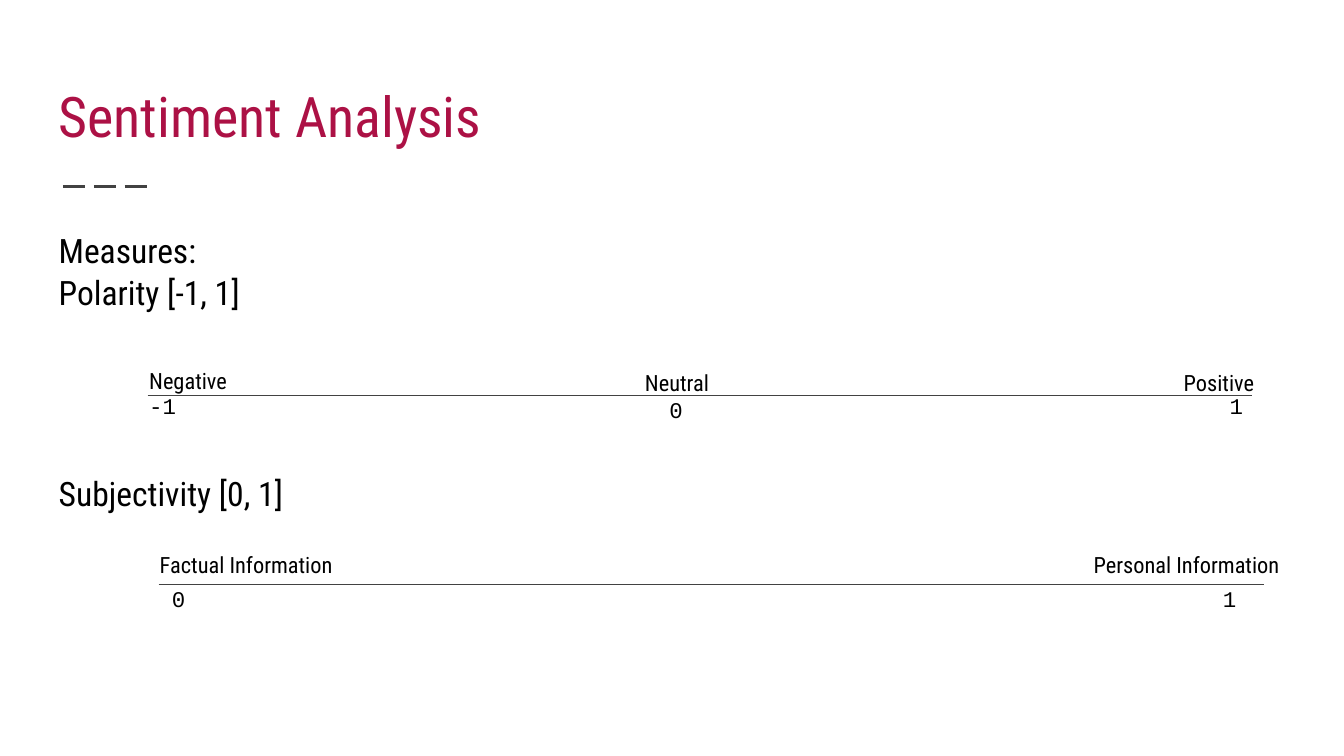
from lxml import etree
from pptx import Presentation
from pptx import util as u
from pptx.dml.color import RGBColor
from pptx.enum import dml, shapes, text
from pptx.oxml.ns import qn

# Content: lengths in cm, sizes in points
TITLE = "Sentiment Analysis"
MEASURES = [("Measures:", 0), ("Polarity [-1, 1]", 1), ("Subjectivity [0, 1]", 86)]
SCALES = [
    {"axis": (2.79, 23.67, 7.47),
     "labels": [("Negative", 2.57, 6.69), ("Neutral", 11.94, 6.73), ("Positive", 22.12, 6.73)],
     "values": [("-1", 2.57, 7.16), ("0", 12.4, 7.24), ("1", 22.99, 7.16)]},
    {"axis": (3, 23.88, 11.05),
     "labels": [("Factual Information", 2.77, 10.16), ("Personal Information", 20.42, 10.16)],
     "values": [("0", 3, 10.82), ("1", 22.86, 10.82)]},
]
LEFT, WIDTH = 0.86, 23.67
INSET = 0.25
GREY = "424242"
HEADING = {"name": "Roboto Condensed", "size": u.Pt(30), "color": "AC1145"}
BODY = {"name": "Roboto Condensed", "size": u.Pt(18), "color": "000000"}
LABEL = {**BODY, "size": u.Pt(12)}
VALUE = {**LABEL, "name": "Courier New"}

deck = Presentation()
deck.slide_width, deck.slide_height = u.Cm(25.4), u.Cm(14.29)
slide = deck.slides.add_slide(deck.slide_layouts[6])


def paint(color_format, hex_color):
    color_format.rgb = RGBColor.from_string(hex_color)


def add_text(paragraphs, left, top, width, height, style, anchor=text.MSO_ANCHOR.TOP):
    box = slide.shapes.add_textbox(*map(u.Cm, (left, top, width, height)))
    frame = box.text_frame
    settings = {"word_wrap": True, "vertical_anchor": anchor}
    settings.update({f"margin_{side}": u.Cm(INSET) for side in ("left", "top", "right", "bottom")})
    for key, value in settings.items():
        setattr(frame, key, value)
    for index, (words, space) in enumerate(paragraphs):
        paragraph = frame.add_paragraph() if index else frame.paragraphs[0]
        if space:
            paragraph.space_before = u.Pt(space)
        run = paragraph.add_run()
        run.text = words
        for key, value in style.items():
            if key == "color":
                paint(run.font.color, value)
            else:
                setattr(run.font, key, value)


def add_line(start, end, y, weight, dash=None):
    line = slide.shapes.add_connector(
        shapes.MSO_CONNECTOR.STRAIGHT, *map(u.Cm, (start, y, end, y)))
    paint(line.line.color, GREY)
    line.line.width = u.Pt(weight)
    if dash:
        line.line.dash_style = dash
    etree.SubElement(line._element.spPr, qn("a:effectLst"))


# Heading with its dashed rule
add_line(1.19, 2.9, 3.53, 1.5, dml.MSO_LINE.LONG_DASH)
add_text([(TITLE, 0)], LEFT, 1.04, WIDTH, 2.03, HEADING, text.MSO_ANCHOR.BOTTOM)

# Measures
add_text(MEASURES, LEFT, 4.09, WIDTH, 8.61, BODY)

# Scales: axis, labels above, values below
for scale in SCALES:
    add_line(*scale["axis"], 0.75)
    for words, left, top in scale["labels"]:
        label_width = 4.8 if " " in words else 3.05
        add_text([(words, 0)], left, top, label_width, 0.64, LABEL)
    for number, left, top in scale["values"]:
        add_text([(number, 0)], left, top, 1.02, 0.64, VALUE)

deck.save("out.pptx")
